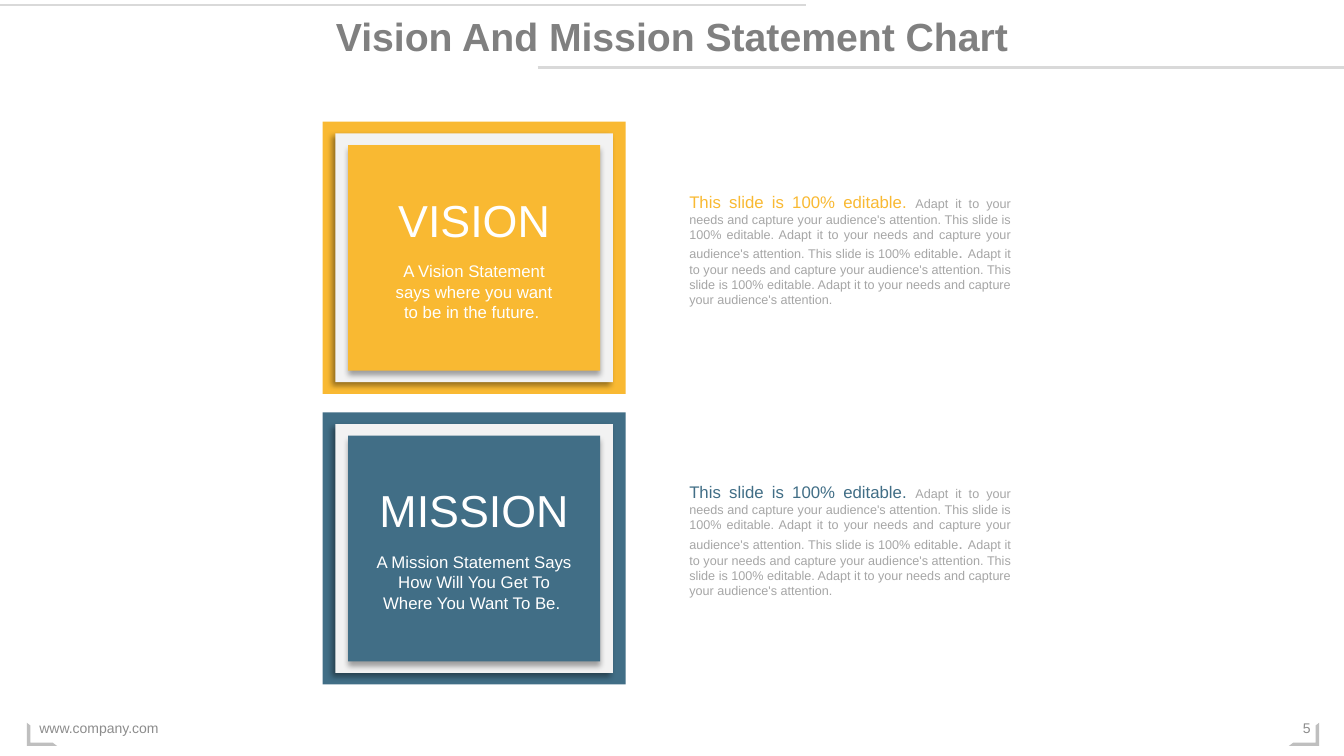
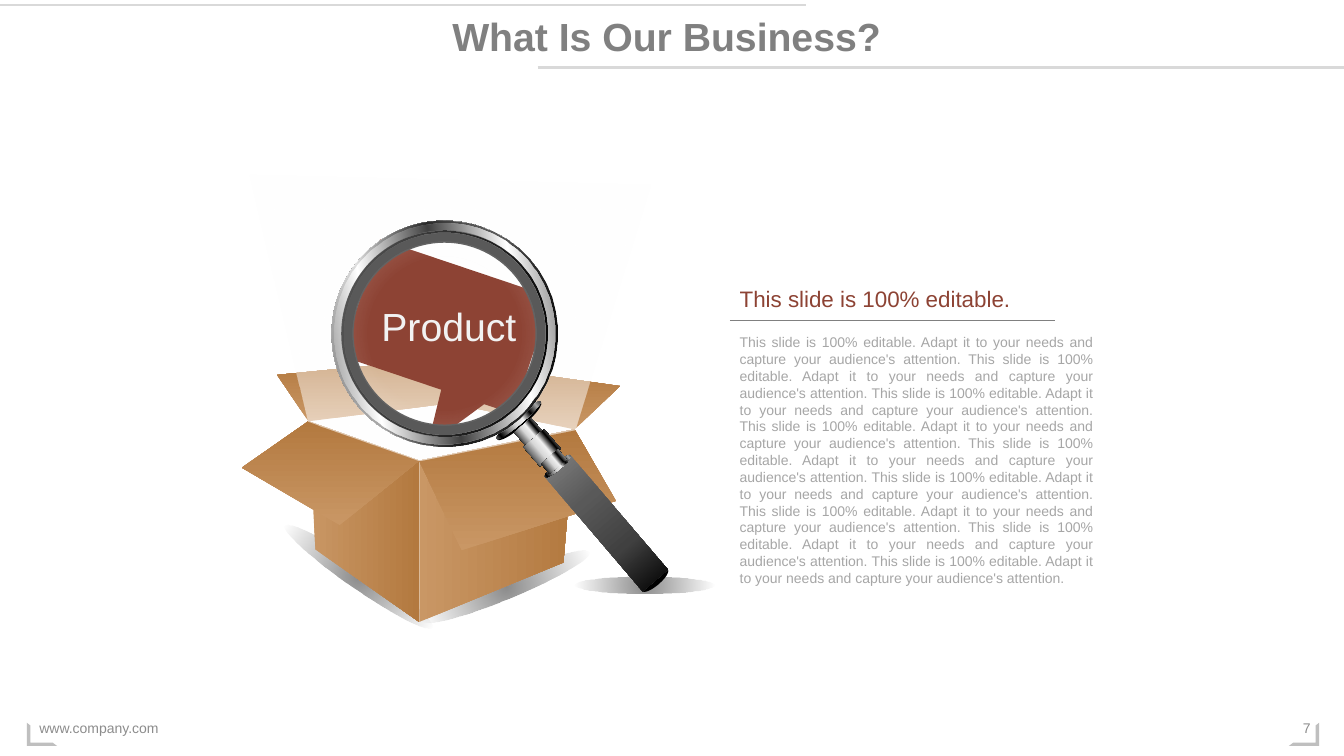
from math import cos, radians, sin

from lxml import etree
from pptx import Presentation
from pptx.dml.color import RGBColor
from pptx.enum.shapes import MSO_CONNECTOR, MSO_SHAPE
from pptx.enum.text import MSO_ANCHOR, PP_ALIGN
from pptx.oxml.ns import qn
from pptx.util import Inches, Pt

RECT, OVAL, DONUT = MSO_SHAPE.RECTANGLE, MSO_SHAPE.OVAL, MSO_SHAPE.DONUT
HALF_FRAME, CALLOUT = MSO_SHAPE.HALF_FRAME, MSO_SHAPE.RECTANGULAR_CALLOUT
STRAIGHT = MSO_CONNECTOR.STRAIGHT
LEFT, CENTER, RIGHT, JUSTIFY = PP_ALIGN.LEFT, PP_ALIGN.CENTER, PP_ALIGN.RIGHT, PP_ALIGN.JUSTIFY
TOP, MIDDLE = MSO_ANCHOR.TOP, MSO_ANCHOR.MIDDLE

FONT = "Arial"
BLACK, IRON, STEEL, GREY, FOOTER, SILVER, ASH, MIST, SMOKE, WHITE = [
    RGBColor.from_string(tone * 3)
    for tone in ("00", "40", "59", "80", "8C", "A6", "BF", "D9", "F2", "FF")]
YELLOW, BLUE, RUST, TAN, BROWN = [
    RGBColor.from_string(code)
    for code in ("F9B932", "416E86", "8D4334", "C99765", "B3793F")]

EDITABLE = "This slide is 100% editable"
ADAPT = "Adapt it to your needs and capture your audience's attention."

prs = Presentation()
prs.slide_width, prs.slide_height = Inches(13.333), Inches(7.5)
# The slide is a grid of 100 columns and 100 rows
COL, ROW = prs.slide_width / 100, prs.slide_height / 100


def add_text(s, x, y, w, h, runs, align=LEFT, anchor=TOP):
    """Put runs of (text, size, colour) in a box given in columns and rows."""
    tb = s.shapes.add_textbox(int(x * COL), int(y * ROW), int(w * COL), int(h * ROW))
    tf = tb.text_frame
    tf.word_wrap, tf.vertical_anchor = True, anchor
    p = tf.paragraphs[0]
    p.alignment = align
    for text, size, color in runs:
        r = p.add_run()
        r.text = text
        r.font.name, r.font.size, r.font.color.rgb = FONT, Pt(size), color


def paint(sp, colors, direction=0):
    """Fill with one colour, or evenly spaced (colour, opacity) stops; no line or shadow."""
    sp.shadow.inherit = False
    sp.line.fill.background()
    if isinstance(colors, RGBColor):
        sp.fill.solid()
        sp.fill.fore_color.rgb = colors
        return
    sp.fill.background()
    grad = etree.Element(qn("a:gradFill"), rotWithShape="1")
    gs_list = etree.SubElement(grad, qn("a:gsLst"))
    for i, (color, opacity) in enumerate(colors):
        pos = 100000 * i // (len(colors) - 1)
        gs = etree.SubElement(gs_list, qn("a:gs"), pos=str(pos))
        clr = etree.SubElement(gs, qn("a:srgbClr"), val=str(color))
        etree.SubElement(clr, qn("a:alpha"), val=str(opacity * 1000))
    if direction == "centre":
        focus = etree.SubElement(grad, qn("a:path"), path="circle")
        etree.SubElement(focus, qn("a:fillToRect"), {side: "50000" for side in "ltrb"})
    else:
        etree.SubElement(grad, qn("a:lin"), ang=str(direction * 60000), scaled="0")
    spPr = sp.element.spPr
    spPr.replace(spPr.find(qn("a:noFill")), grad)


# Shared title place, web address and page numbers
layout = prs.slide_layouts[5]
for ph in list(layout.placeholders):
    if ph.placeholder_format.idx:
        ph.element.getparent().remove(ph.element)
    else:
        ph.left, ph.top = 0, int(0.93 * ROW)
        ph.width, ph.height = prs.slide_width, int(7.6 * ROW)

slides = []
for title, number in (("Vision And Mission Statement Chart", "5"),
                      ("What Is Our Business? ", "7")):
    s = prs.slides.add_slide(layout)
    s.shapes.title.text_frame.text = title
    font = s.shapes.title.text_frame.paragraphs[0].runs[0].font
    font.name, font.size, font.bold, font.color.rgb = FONT, Pt(28), True, GREY
    add_text(s, 2.2, 93.7, 33.75, 5.3, [("www.company.com", 10, FOOTER)], LEFT, MIDDLE)
    add_text(s, 95.1, 93.7, 3.15, 5.3, [(number, 10, FOOTER)], RIGHT, MIDDLE)
    slides.append(s)
statements, business = slides

# Lines: two beside the title, one under the heading of the business slide
frame = []
for s, x1, x2, y, color, width in ((statements, 0, 60, 0.67, MIST, 1.5),
                                   (statements, 40, 100, 8.93, MIST, 1.5),
                                   (business, 54.3, 78.5, 42.4, GREY, 0.5)):
    ln = s.shapes.add_connector(STRAIGHT, int(x1 * COL), int(y * ROW),
                                int(x2 * COL), int(y * ROW))
    ln.line.color.rgb, ln.line.width = color, Pt(width)
    etree.SubElement(ln.element.spPr, qn("a:effectLst"))
    if s is statements:
        frame.append(ln)

# Corner brackets in the footer
for x, flip in ((95.9, "0"), (2, "1")):
    sp = statements.shapes.add_shape(HALF_FRAME, int(x * COL), int(95.6 * ROW),
                                     int(2.25 * COL), int(3.07 * ROW))
    sp.adjustments[0], sp.adjustments[1] = 0.14, 0.15
    sp.rotation = 180
    sp.element.spPr.find(qn("a:xfrm")).set("flipH", flip)
    paint(sp, ASH)
    frame.append(sp)

# The lines and brackets belong to the layout
for sp in frame:
    layout.shapes.element.append(sp.element)

# Statement cards: three nested rectangles, a label and a text beside them
CARD_X, CARD_W, CARD_H = 24, 22.56, 36
CARDS = (
    ("VISION", "A Vision Statement says where you want to be in the future. ", 13.7, YELLOW),
    ("MISSION", "A Mission Statement Says How Will You Get To Where You Want To Be. ", 16.8, BLUE),
)
for i, (label, statement, statement_w, color) in enumerate(CARDS):
    top = 16.1 + 38.45 * i
    middle = CARD_X + CARD_W / 2
    # Each layer: fill, then opacity and direction of its shadow
    for inset, (fill, shadow) in enumerate(((color, None), (SMOKE, (40, 135)), (color, (35, 90)))):
        dx, dy = 0.95 * inset, 1.54 * inset
        sp = statements.shapes.add_shape(
            RECT, int((CARD_X + dx) * COL), int((top + dy) * ROW),
            int((CARD_W - 2 * dx) * COL), int((CARD_H - 2 * dy) * ROW))
        paint(sp, fill)
        if shadow:
            opacity, direction = shadow
            outer = etree.SubElement(
                sp.element.spPr.find(qn("a:effectLst")), qn("a:outerShdw"),
                blurRad=str(Pt(4)), dist=str(Pt(3)), dir=str(direction * 60000),
                algn="ctr", rotWithShape="0")
            clr = etree.SubElement(outer, qn("a:srgbClr"), val=str(BLACK))
            etree.SubElement(clr, qn("a:alpha"), val=str(opacity * 1000))
    add_text(statements, middle - 9.5, top + 8.7, 19, 8.5, [(label, 32, WHITE)], CENTER)
    add_text(statements, middle - statement_w / 2, top + 17.8, statement_w, 9.5,
             [(statement, 12, WHITE)], CENTER)
    add_text(statements, 50.55, top + 8.55, 25.4, 16.8, [
        (EDITABLE + ". ", 12, color),
        (f"{ADAPT} {EDITABLE}. {ADAPT} {EDITABLE}", 9, SILVER),
        (". ", 12, SILVER),
        (f"{ADAPT} {EDITABLE}. {ADAPT} ", 9, SILVER),
    ], JUSTIFY)

# Business slide: heading and text
add_text(business, 54.3, 37.1, 24.2, 4.9, [(EDITABLE + ".", 16, RUST)])
add_text(business, 54.3, 43.5, 27.75, 35,
         [(" ".join([f"{EDITABLE}. {ADAPT}"] * 9), 10, SILVER)], JUSTIFY)

# Ground shadows of the box and the handle, in inches
for x, y, w, h, turn in ((2.67, 5.6, 1.78, 0.24, 34.7),
                         (4.13, 5.7, 1.78, 0.24, 337.8),
                         (5.7, 5.72, 1.39, 0.17, 0)):
    sp = business.shapes.add_shape(OVAL, Inches(x), Inches(y), Inches(w), Inches(h))
    sp.rotation = turn
    paint(sp, [(BLACK, 46), (BLACK, 0)], "centre")

# Open box: the rim's corners are shared by flaps, sides and the light above
left, front, right, back = (3.06, 4.18), (4.16, 4.57), (5.7, 4.26), (4.47, 4)
foot = (4.16, 6.17)
CARTON = [(TAN, 100), (BROWN, 100)]
LIGHT = [(WHITE, 5), (WHITE, 64)]
for colors, direction, points in (
        (CARTON, 270, (right, (6.15, 3.83), (4.87, 3.65), back)),
        (CARTON, 270, (left, (2.75, 3.72), (4.17, 3.58), back)),
        (CARTON, 0, (left, front, foot, (3.13, 5.45))),
        (CARTON, 0, (front, right, (5.59, 5.58), foot)),
        (CARTON, 270, (left, front, (3.37, 5.21), (2.4, 4.64))),
        (CARTON, 270, (front, right, (6.11, 4.97), (4.58, 5.46))),
        (LIGHT, 90, (left, (2.48, 1.73), (6.45, 1.83), right, front))):
    corners = [(Inches(x), Inches(y)) for x, y in points]
    fb = business.shapes.build_freeform(*corners[0])
    fb.add_line_segments(corners[1:], close=True)
    paint(fb.convert_to_shape(), colors, direction)

# Product callout behind the lens
sp = business.shapes.add_shape(CALLOUT, Inches(3.53), Inches(2.63), Inches(1.8), Inches(1.22))
sp.adjustments[0], sp.adjustments[1] = -0.11, 0.97
sp.rotation = 18.6
sp.element.spPr.find(qn("a:xfrm")).set("flipH", "1")
paint(sp, RUST)
add_text(business, 26.55, 39.35, 13.7, 7.6, [("Product", 28, SMOKE)], CENTER)

# Magnifier handle: each part lies on one axis, at a distance from the lens centre
LENS_X, LENS_Y, TILT = 4.41, 3.31, 319.5
CHROME = [(c, 100) for c in (SILVER, BLACK, GREY, MIST, SMOKE, BLACK, SILVER, BLACK)]
GRIP = [(GREY, 100), (STEEL, 100), (IRON, 100), (BLACK, 100)]
for shape, distance, w, h, colors, direction in (
        (OVAL, 1.14, 0.57, 0.12, BLACK, 0),
        (OVAL, 1.13, 0.57, 0.08, CHROME, 0),
        (RECT, 1.28, 0.22, 0.17, CHROME, 0),
        (RECT, 1.49, 0.27, 0.25, CHROME, 0),
        (OVAL, 3.22, 0.33, 0.1, BLACK, 0),
        (RECT, 2.47, 0.33, 1.5, GRIP, 90),
        (OVAL, 1.73, 0.33, 0.07, CHROME, 0),
        (RECT, 1.67, 0.22, 0.13, CHROME, 0)):
    x = LENS_X - distance * sin(radians(TILT))
    y = LENS_Y + distance * cos(radians(TILT))
    sp = business.shapes.add_shape(shape, Inches(x - w / 2), Inches(y - h / 2),
                                   Inches(w), Inches(h))
    sp.rotation = TILT
    paint(sp, colors, direction)

# Lens: chrome ring, dark inner ring, shaded edge and glass, all concentric
RING = [(c, 100) for c in (STEEL, WHITE, IRON, WHITE, IRON)]
EDGE = [(BLACK, 0), (BLACK, 100)]
GLASS = [(WHITE, 0), (WHITE, 0), (MIST, 32)]
for shape, size, thickness, colors, direction in (
        (DONUT, 2.24, 0.09, RING, 340),
        (DONUT, 2.05, 0.06, STEEL, 0),
        (DONUT, 2.24, 0.01, EDGE, 0),
        (DONUT, 2.05, 0.01, EDGE, 0),
        (OVAL, 1.82, None, GLASS, "centre")):
    sp = business.shapes.add_shape(shape, Inches(LENS_X - size / 2), Inches(LENS_Y - size / 2),
                                   Inches(size), Inches(size))
    if thickness:
        sp.adjustments[0] = thickness
    sp.rotation = 11
    paint(sp, colors, direction)

prs.save("out.pptx")
